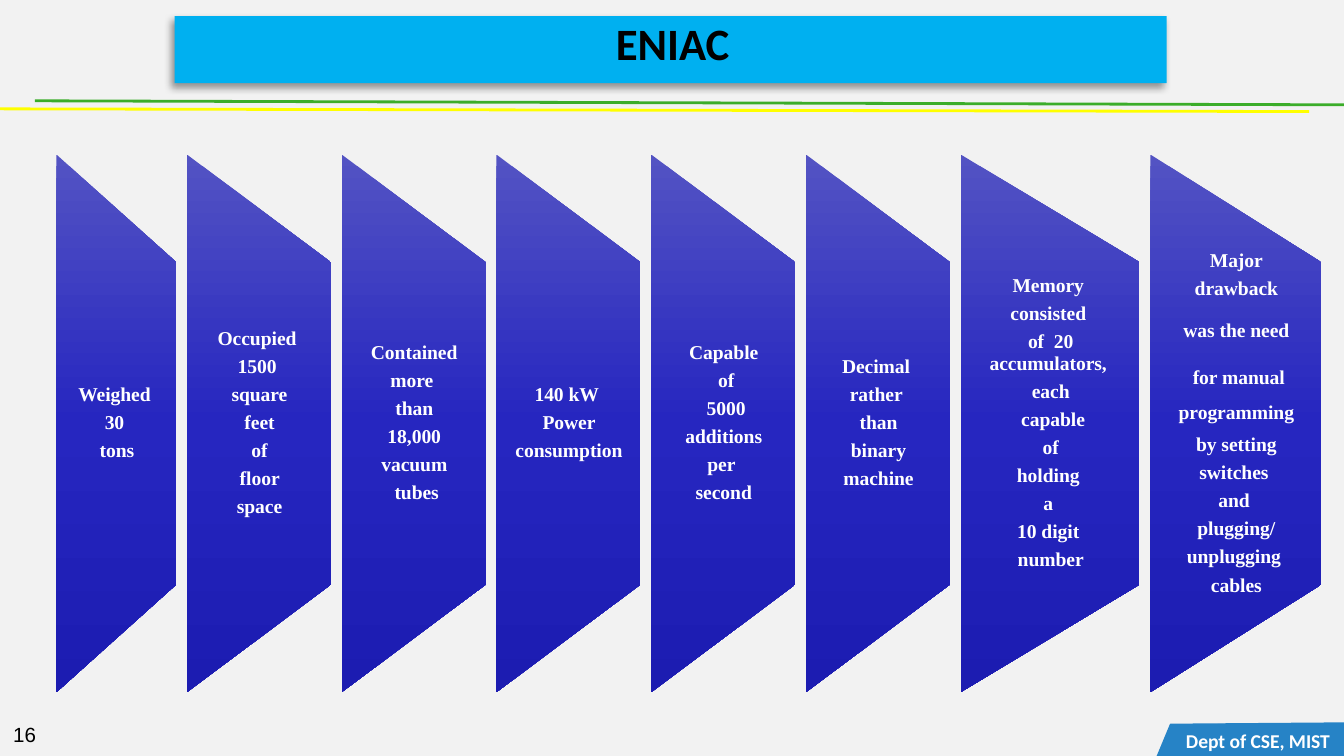
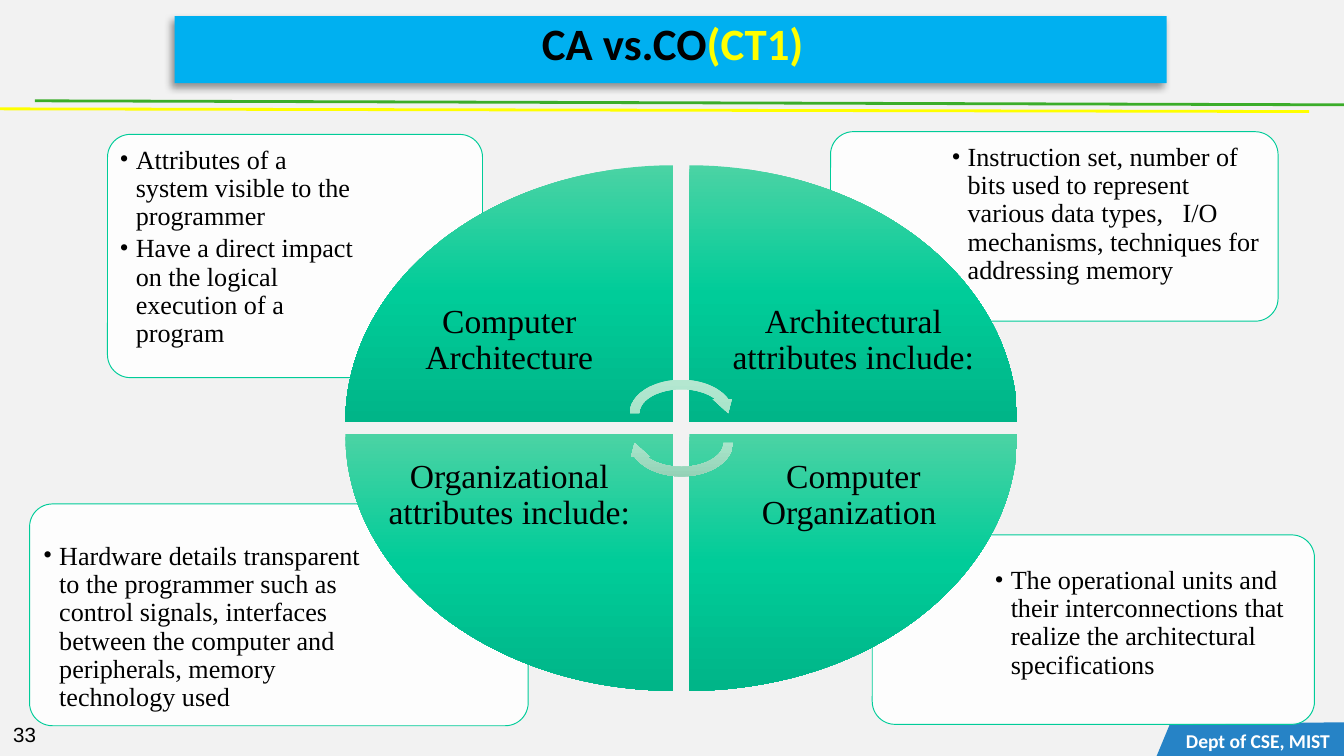
from math import cos, sin, pi
from lxml import etree
from pptx import Presentation
from pptx.dml.color import RGBColor as RGB
from pptx.enum.shapes import MSO_CONNECTOR as LINE, MSO_SHAPE as KIND
from pptx.enum.text import MSO_ANCHOR as ANCHOR, PP_ALIGN as ALIGN
from pptx.oxml.ns import qn
from pptx.util import Inches, Pt

HUE = {
    "back": "F2F2F2", "green": "3BAD29", "yellow": "FFFF00", "blue": "2683C6",
    "band": "00B0F0", "black": "000000", "white": "FFFFFF", "mint": "00CC99",
}
FADE = {
    "slat": ["5353C3", "2626C0", "1C1CB1"],
    "quad": ["4BD3A4", "00CC99", "00B588"],
    "arrow": ["B6E7D1", "A8E5CA", "92CFB4"],
}
SERIF = "Times New Roman"


def paint(shape, name):
    shape.shadow.inherit = False
    shape.line.fill.background()
    if name in HUE:
        shape.fill.solid()
        shape.fill.fore_color.rgb = RGB.from_string(HUE[name])
        return
    shape.fill.gradient()
    shape.fill.gradient_angle = 270
    grad = shape._element.spPr.find(qn("a:gradFill"))
    grad.set("rotWithShape", "0")
    stops = grad.find(qn("a:gsLst"))
    for old in list(stops):
        stops.remove(old)
    for pos, hue in zip((0, 50000, 100000), FADE[name]):
        stop = etree.SubElement(stops, qn("a:gs"), pos=str(pos))
        etree.SubElement(stop, qn("a:srgbClr"), val=hue)


def write(shape, text, pads, size, font=SERIF, hue="black", bold=False,
          align=ALIGN.CENTER, anchor=ANCHOR.MIDDLE, gap=0.9, after=0):
    frame = shape.text_frame
    frame.text = text
    frame.word_wrap = True
    frame.vertical_anchor = anchor
    (frame.margin_left, frame.margin_top,
     frame.margin_right, frame.margin_bottom) = [Inches(p) for p in pads]
    for para in frame.paragraphs:
        para.alignment = align
        para.line_spacing = gap
        para.space_after = Pt(after)
        for run in para.runs:
            run.font.size = Pt(size)
            run.font.name = font
            run.font.bold = bold
            run.font.color.rgb = RGB.from_string(HUE[hue])
    return frame


deck = Presentation()
deck.slide_width = Inches(10)
deck.slide_height = deck.slide_width * 9 // 16
pages = []

for num, title in (("16", "ENIAC"), ("33", "CA vs.CO")):
    page = deck.slides.add_slide(deck.slide_layouts[6])
    pages.append(page)
    page.background.fill.solid()
    page.background.fill.fore_color.rgb = RGB.from_string(HUE["back"])
    add = page.shapes

    for x1, y1, x2, y2, hue in ((0.26, 0.75, 10, 0.78, "green"),
                                (0, 0.81, 9.74, 0.83, "yellow")):
        rule = add.add_connector(LINE.STRAIGHT, Inches(x1), Inches(y1), Inches(x2), Inches(y2))
        rule.line.color.rgb = RGB.from_string(HUE[hue])
        rule.line.width = Pt(1.5)
        etree.SubElement(rule._element.spPr, qn("a:effectLst"))

    box = add.add_textbox(Inches(0), Inches(5.32), Inches(0.53), Inches(0.29))
    write(box, num, (0.1, 0.05, 0.1, 0.05), 11, "Arial", align=ALIGN.LEFT,
          anchor=ANCHOR.TOP, gap=1.0)

    form = add.build_freeform(Inches(8.61), Inches(5.63))
    form.add_line_segments([(Inches(x), Inches(y)) for x, y in
                            ((8.71, 5.39), (10, 5.38), (10.01, 5.63))])
    tab = form.convert_to_shape()
    paint(tab, "blue")
    tab.line.color.rgb = RGB.from_string(HUE["blue"])
    tab.line.width = Pt(0.75)
    box = add.add_textbox(Inches(8.72), Inches(5.41), Inches(1.28), Inches(0.2))
    frame = write(box, "Dept of CSE, MIST", (0.1, 0.1, 0.1, 0.1), 10.5, "Calibri",
                  "white", True, gap=1.0)
    frame.word_wrap = False

    band = add.add_shape(KIND.RECTANGLE, Inches(1.3), Inches(0.12), Inches(7.38), Inches(0.5))
    paint(band, "band")
    glow = etree.SubElement(band._element.spPr.find(qn("a:effectLst")), qn("a:outerShdw"),
                            blurRad=str(Pt(4)), dist=str(Pt(3)), dir="8100000",
                            algn="tr", rotWithShape="0")
    tint = etree.SubElement(glow, qn("a:srgbClr"), val=HUE["black"])
    etree.SubElement(tint, qn("a:alpha"), val="40000")

    box = add.add_textbox(Inches(1.4), Inches(0.17), Inches(7.21), Inches(0.39))
    head = write(box, title, (0.07, 0.04, 0.07, 0.04), 24, "Calibri", bold=True,
                 anchor=ANCHOR.BOTTOM, gap=0.85)

mark = head.paragraphs[0].add_run()
mark.text = "(CT1)"
mark.font.size = Pt(24)
mark.font.name = "Calibri"
mark.font.bold = True
mark.font.color.rgb = RGB.from_string(HUE["yellow"])

SLATS = [
    (0.89, ["Weighed ", "30 ", "tons"]),
    (1.07, ["Occupied ", "1500 ", "square", " feet ", "of", " floor ", "space"]),
    (1.07, ["Contained", "more ", "than", " 18,000 ", "vacuum", " tubes"]),
    (1.07, ["140 kW ", "Power", "consumption"]),
    (1.07, ["Capable", " of", " 5000", " additions ", "per ", "second"]),
    (1.07, ["Decimal ", "rather ", "than", " binary ", "machine"]),
    (1.33, ["Memory ", "consisted ", "of  20 accumulators, ", "each", " capable", " of ",
            "holding ", "a ", "10 digit ", "number"]),
    (1.27, ["Major", " drawback ", "was the need", " for manual programming",
            " by setting ", "switches ", "and ", "plugging/", "unplugging ", "cables"]),
]
add = pages[0].shapes
tall, mid, left, right = 4, 3.15, 0.42, 9.83
space = (right - left - sum(wide for wide, lines in SLATS)) / (len(SLATS) - 1)
for wide, lines in SLATS:
    slat = add.add_shape(KIND.FLOWCHART_MANUAL_OPERATION,
                         Inches(left + wide / 2 - tall / 2), Inches(mid - wide / 2),
                         Inches(tall), Inches(wide))
    slat.rotation = 270
    paint(slat, "slat")
    box = add.add_textbox(Inches(left), Inches(1.95), Inches(wide), Inches(2.4))
    frame = write(box, "\n".join(lines), (0.08, 0, 0.07, 0), 10.5, hue="white",
                  bold=True, after=3.7)
    left += wide + space
for para in frame.paragraphs[2:4]:
    para.line_spacing = 1.5
    para.space_after = Pt(6)

CARDS = [
    (0.22, 3.75, 3.71, 1.65, ANCHOR.BOTTOM, (0.1, 0.54, 1.18, 0.1),
     ["Hardware details transparent to the programmer such as  control signals, "
      "interfaces between the computer and peripherals, memory technology used"]),
    (6.49, 3.98, 3.29, 1.41, ANCHOR.BOTTOM, (0.91, 0.1, 0.1, 0.33),
     ["The operational units and their interconnections that realize the "
      "architectural specifications"]),
    (6.18, 0.98, 3.33, 1.41, ANCHOR.TOP, (0.9, 0.09, 0.09, 0.53),
     ["Instruction set, number of bits used to represent various data types,   I/O "
      "mechanisms, techniques for addressing memory"]),
    (0.8, 1, 2.79, 1.81, ANCHOR.TOP, (0.09, 0.09, 0.9, 0.53),
     ["Attributes of a system visible to the programmer",
      "Have a direct impact on the logical execution of a program"]),
]
add = pages[1].shapes
curve = 0.17
for x, y, wide, high, anchor, pads, lines in CARDS:
    card = add.add_shape(KIND.ROUNDED_RECTANGLE, Inches(x), Inches(y), Inches(wide), Inches(high))
    card.adjustments[0] = curve / high
    paint(card, "white")
    tint = card._element.spPr.find(qn("a:solidFill")).find(qn("a:srgbClr"))
    etree.SubElement(tint, qn("a:alpha"), val="90000")
    card.line.color.rgb = RGB.from_string(HUE["mint"])
    card.line.width = Pt(0.5)
    frame = write(card, "\n".join(lines), [p - 0.29 * curve for p in pads], 14,
                  align=ALIGN.LEFT, anchor=anchor, after=2.1)
    for para in frame.paragraphs:
        prop = para._p.get_or_add_pPr()
        prop.set("marL", str(Inches(0.12)))
        prop.set("indent", str(Inches(-0.12)))
        etree.SubElement(prop, qn("a:buFont"), typeface=SERIF)
        etree.SubElement(prop, qn("a:buChar"), char="•")

UPPER, LOWER = (0.11, 0.81, 0.11, 0.11), (0.11, 0.11, 0.11, 1.11)
QUADS = [
    ("Computer Architecture", 5.01, 3.14, -1, -1, UPPER),
    ("Architectural attributes include:", 5.13, 3.14, 1, -1, UPPER),
    ("Computer Organization ", 5.13, 3.23, 1, 1, LOWER),
    ("Organizational attributes include:", 5.01, 3.23, -1, 1, LOWER),
]
steps = 40
turns = [pi / 2 * i / steps for i in range(steps + 1)]
for text, x, y, side, down, pads in QUADS:
    form = add.build_freeform(Inches(x), Inches(y))
    form.add_line_segments([(Inches(x + side * 2.44 * cos(t)), Inches(y + down * 1.91 * sin(t)))
                            for t in turns])
    quad = form.convert_to_shape()
    paint(quad, "quad")
    write(quad, text, pads, 18)

for y, turn in ((2.79, 0), (3.01, 180)):
    arrow = add.add_shape(KIND.CIRCULAR_ARROW, Inches(4.65), Inches(y), Inches(0.84), Inches(0.57))
    arrow.rotation = turn
    paint(arrow, "arrow")

deck.save("out.pptx")
